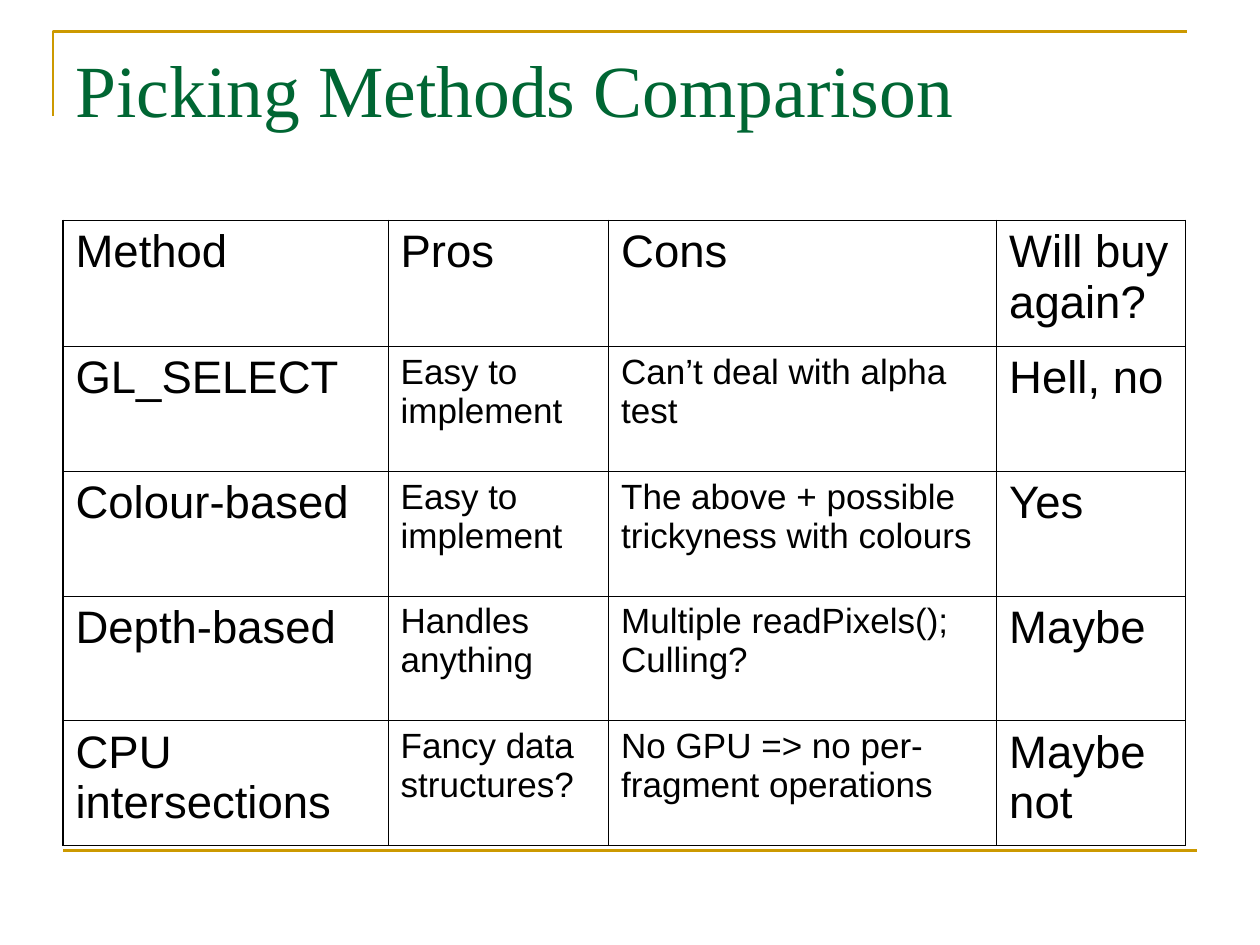
from lxml.etree import SubElement
from pptx import Presentation
from pptx.dml.color import RGBColor
from pptx.enum.shapes import MSO_CONNECTOR
from pptx.enum.text import MSO_ANCHOR, MSO_AUTO_SIZE, PP_ALIGN
from pptx.oxml.ns import qn
from pptx.util import Inches, Pt

TITLE = "Picking Methods Comparison"
ROWS = [
    ("Method", "Pros", "Cons", "Will buy again?"),
    ("GL_SELECT", "Easy to implement", "Can’t deal with alpha test", "Hell, no"),
    ("Colour-based", "Easy to implement",
     "The above + possible trickyness with colours", "Yes"),
    ("Depth-based", "Handles anything", "Multiple readPixels(); Culling?", "Maybe"),
    ("CPU intersections", "Fancy data structures?",
     "No GPU => no per-fragment operations", "Maybe not"),
]
COLUMN_WIDTHS = [2.58, 1.75, 3.08, 1.5]
ROW_HEIGHTS = [1, 0.99, 0.99, 0.99, 0.99]
COLORS = {"gold": "CC9900", "title": "006633", "text": "000000", "border": "000000"}
OUTER, INNER = 1.08, 0.45


def write(frame, text, font, size, color):
    frame.word_wrap = True
    paragraph = frame.paragraphs[0]
    paragraph.alignment = PP_ALIGN.LEFT
    span = paragraph.add_run()
    span.text = text
    span.font.name = font
    span.font.size = Pt(size)
    span.font.bold = False
    span.font.color.rgb = RGBColor.from_string(color)


def style_line(shape):
    shape.line.color.rgb = RGBColor.from_string(COLORS["gold"])
    shape.line.width = Pt(1.5)


def set_borders(cell, widths):
    properties = cell._tc.get_or_add_tcPr()
    for side, width in widths.items():
        line = SubElement(properties, qn(f"a:ln{side}"), w=str(Pt(width)))
        fill = SubElement(line, qn("a:solidFill"))
        SubElement(fill, qn("a:srgbClr"), val=COLORS["border"])


def main():
    deck = Presentation()
    deck.slide_width, deck.slide_height = Inches(10), Inches(7.5)
    page = deck.slides.add_slide(deck.slide_layouts[5])

    # Corner rule around the title
    builder = page.shapes.build_freeform(Inches(0.42), Inches(0.92))
    builder.add_line_segments(
        [(Inches(0.42), Inches(0.25)), (Inches(9.42), Inches(0.25))], close=False)
    corner = builder.convert_to_shape()
    corner.shadow.inherit = False
    corner.fill.background()
    style_line(corner)

    # Bottom rule
    rule = page.shapes.add_connector(
        MSO_CONNECTOR.STRAIGHT, Inches(0.5), Inches(6.75), Inches(9.5), Inches(6.75))
    SubElement(rule._element.spPr, qn("a:effectLst"))
    style_line(rule)

    # Title
    title = page.shapes.title
    title.left, title.top = Inches(0.5), Inches(0.3)
    title.width, title.height = Inches(9), Inches(1.25)
    title.text_frame.auto_size = MSO_AUTO_SIZE.NONE
    title.text_frame.vertical_anchor = MSO_ANCHOR.TOP
    write(title.text_frame, TITLE, "Times New Roman", 42, COLORS["title"])

    # Comparison table: heavier outer border, smaller text for pros and cons
    last_row, last_column = len(ROWS) - 1, len(COLUMN_WIDTHS) - 1
    table = page.shapes.add_table(
        len(ROWS), len(COLUMN_WIDTHS), Inches(0.5), Inches(1.75),
        Inches(sum(COLUMN_WIDTHS)), Inches(sum(ROW_HEIGHTS))).table
    table.first_row = table.horz_banding = False
    for column, width in zip(table.columns, COLUMN_WIDTHS):
        column.width = Inches(width)
    for row, height in zip(table.rows, ROW_HEIGHTS):
        row.height = Inches(height)
    for r, texts in enumerate(ROWS):
        for c, text in enumerate(texts):
            cell = table.cell(r, c)
            set_borders(cell, {
                "L": OUTER if c == 0 else INNER,
                "R": OUTER if c == last_column else INNER,
                "T": OUTER if r == 0 else INNER,
                "B": OUTER if r == last_row else INNER,
            })
            cell.fill.background()
            size = 20 if r > 0 and 0 < c < last_column else 26
            write(cell.text_frame, text, "Arial", size, COLORS["text"])

    deck.save("out.pptx")


if __name__ == "__main__":
    main()
